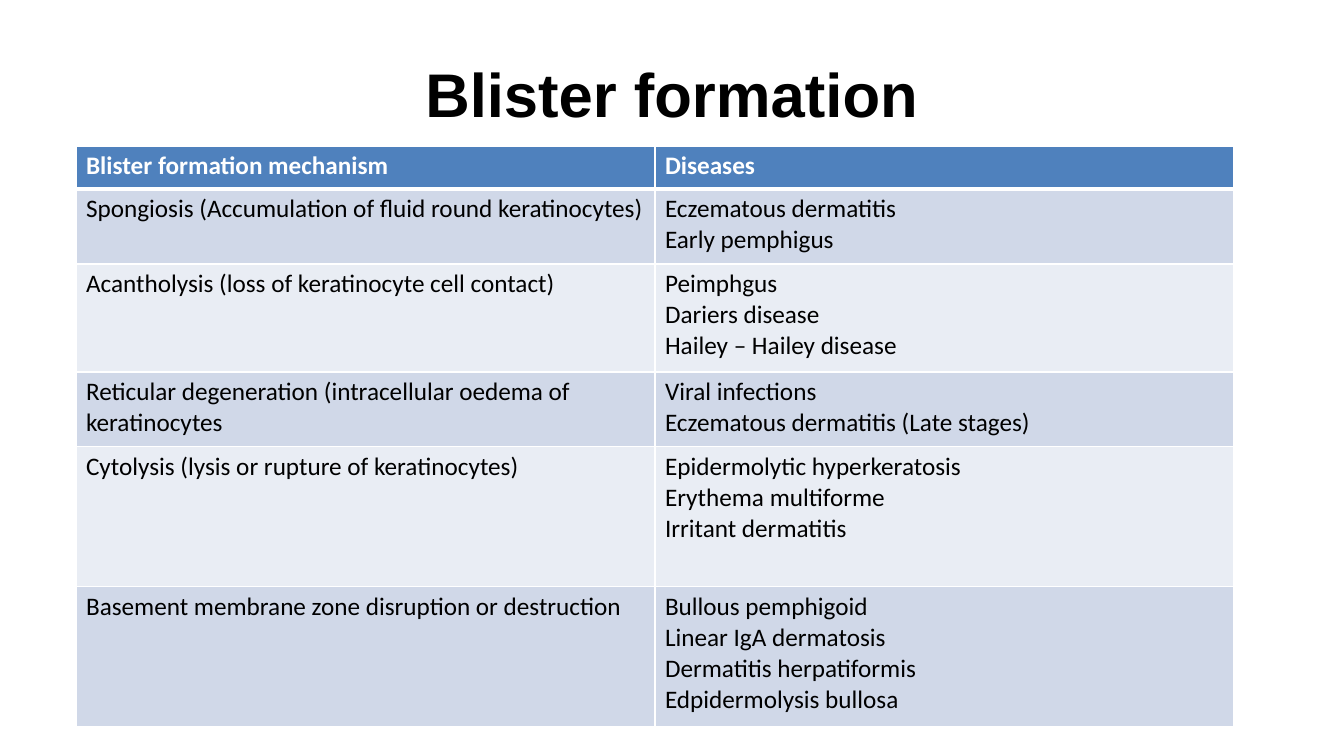
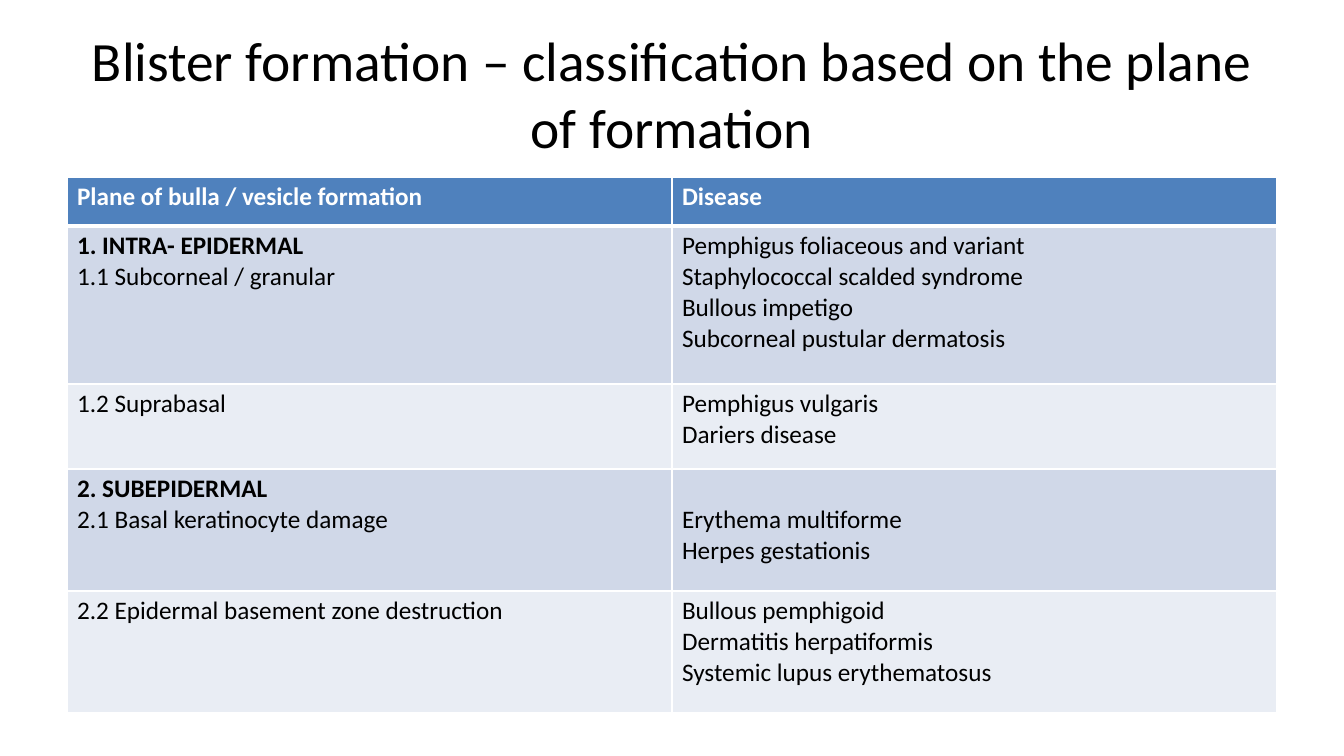
from lxml import etree
from pptx import Presentation
from pptx.dml.color import RGBColor
from pptx.enum.text import MSO_ANCHOR, PP_ALIGN
from pptx.oxml.ns import qn
from pptx.util import Emu, Pt

MIDDLE = MSO_ANCHOR.MIDDLE
CENTER = PP_ALIGN.CENTER

PX = 914400 / 100.8
SLIDE_WIDTH, SLIDE_HEIGHT = 1344, 756
TITLE_BOX = (67, 30, 1210, 126)
CELL_MARGIN_TOP = 5
BODY_LINE = 31
BODY_SIZE = 18
FONT = "Calibri"
THIN, THICK = 1, 3

COLORS = {
    "text": "000000",
    "header": "4F81BD",
    "header_text": "FFFFFF",
    "band_dark": "D0D8E8",
    "band_light": "E9EDF4",
    "border": "FFFFFF",
}

# Each body row: height, left lines, right lines, optional lines skipped above the right text.
MECHANISM_ROWS = [
    (75, ["Spongiosis (Accumulation of fluid round keratinocytes)"],
     ["Eczematous dermatitis", "Early pemphigus"]),
    (108, ["Acantholysis (loss of keratinocyte cell contact)"],
     ["Peimphgus", "Dariers disease", "Hailey – Hailey disease"]),
    (75, ["Reticular degeneration (intracellular oedema of keratinocytes"],
     ["Viral infections", "Eczematous dermatitis (Late stages)"]),
    (140, ["Cytolysis (lysis or rupture of keratinocytes)"],
     ["Epidermolytic hyperkeratosis", "Erythema multiforme", "Irritant dermatitis"]),
    (140, ["Basement membrane zone disruption or destruction"],
     ["Bullous pemphigoid", "Linear IgA dermatosis", "Dermatitis herpatiformis",
      "Edpidermolysis bullosa"]),
]

PLANE_ROWS = [
    (158, ["1. INTRA- EPIDERMAL", "1.1 Subcorneal / granular"],
     ["Pemphigus foliaceous and variant", "Staphylococcal scalded syndrome",
      "Bullous impetigo", "Subcorneal pustular dermatosis"]),
    (85, ["1.2 Suprabasal"], ["Pemphigus vulgaris", "Dariers disease"]),
    (122, ["2. SUBEPIDERMAL", "2.1 Basal keratinocyte damage"],
     ["Erythema multiforme", "Herpes gestationis"], 1),
    (122, ["2.2 Epidermal basement zone destruction"],
     ["Bullous pemphigoid", "Dermatitis herpatiformis", "Systemic lupus erythematosus"]),
]


def px(length):
    return Emu(round(length * PX))


class Deck:
    """Holds the presentation, its style and the slide being built."""

    def __init__(self):
        self.presentation = Presentation()
        self.presentation.slide_width = px(SLIDE_WIDTH)
        self.presentation.slide_height = px(SLIDE_HEIGHT)
        self.slide = None

    def add_slide(self):
        self.slide = self.presentation.slides.add_slide(self.presentation.slide_layouts[6])

    def add_text(self, paragraph, text, size, color, bold=False, font=FONT):
        run = paragraph.add_run()
        run.text = text
        run.font.name = font
        run.font.size = Pt(size)
        run.font.bold = bold
        run.font.color.rgb = RGBColor.from_string(COLORS[color])

    def add_title(self, text, size, bold=False, font=FONT):
        shape = self.slide.shapes.add_textbox(*map(px, TITLE_BOX))
        frame = shape.text_frame
        frame.word_wrap = True
        frame.vertical_anchor = MIDDLE
        paragraph = frame.paragraphs[0]
        paragraph.alignment = CENTER
        self.add_text(paragraph, text, size, "text", bold, font)

    def set_borders(self, cell, top, bottom):
        properties = cell._tc.get_or_add_tcPr()
        widths = {"a:lnL": THIN, "a:lnR": THIN, "a:lnT": top, "a:lnB": bottom}
        for tag, width in widths.items():
            line = etree.SubElement(properties, qn(tag), w=str(Pt(width)))
            fill = etree.SubElement(line, qn("a:solidFill"))
            etree.SubElement(fill, qn("a:srgbClr"), val=COLORS["border"])

    def fill_cell(self, cell, row_index, lines, skipped_lines=0):
        is_header = row_index == 0
        self.set_borders(cell, THICK if row_index == 1 else THIN, THICK if is_header else THIN)
        band = "band_dark" if row_index % 2 else "band_light"
        cell.fill.solid()
        cell.fill.fore_color.rgb = RGBColor.from_string(COLORS["header" if is_header else band])
        cell.margin_top = px(CELL_MARGIN_TOP + skipped_lines * BODY_LINE)
        frame = cell.text_frame
        for index, line in enumerate(lines):
            paragraph = frame.add_paragraph() if index else frame.paragraphs[0]
            self.add_text(paragraph, line, BODY_SIZE, "header_text" if is_header else "text",
                          bold=is_header or line.isupper())

    def add_table(self, left, top, column_width, header_height, headers, body_rows):
        rows = [(header_height, *([header] for header in headers)), *body_rows]
        height = sum(row[0] for row in rows)
        frame = self.slide.shapes.add_table(
            len(rows), 2, px(left), px(top), px(2 * column_width), px(height))
        table = frame.table
        table.first_row = table.horz_banding = False
        for column in table.columns:
            column.width = px(column_width)
        for index, (row_height, left_lines, right_lines, *skipped) in enumerate(rows):
            table.rows[index].height = px(row_height)
            self.fill_cell(table.cell(index, 0), index, left_lines)
            self.fill_cell(table.cell(index, 1), index, right_lines, *skipped)


def main():
    deck = Deck()

    deck.add_slide()
    deck.add_title("Blister formation", 44, bold=True, font="Arial")
    deck.add_table(76, 146, 579, 43, ["Blister formation mechanism", "Diseases"], MECHANISM_ROWS)

    deck.add_slide()
    deck.add_title("Blister formation – classification based on the plane of formation", 39.6)
    deck.add_table(67, 177, 605, 49, ["Plane of bulla / vesicle formation", "Disease"], PLANE_ROWS)

    deck.presentation.save("out.pptx")


if __name__ == "__main__":
    main()
